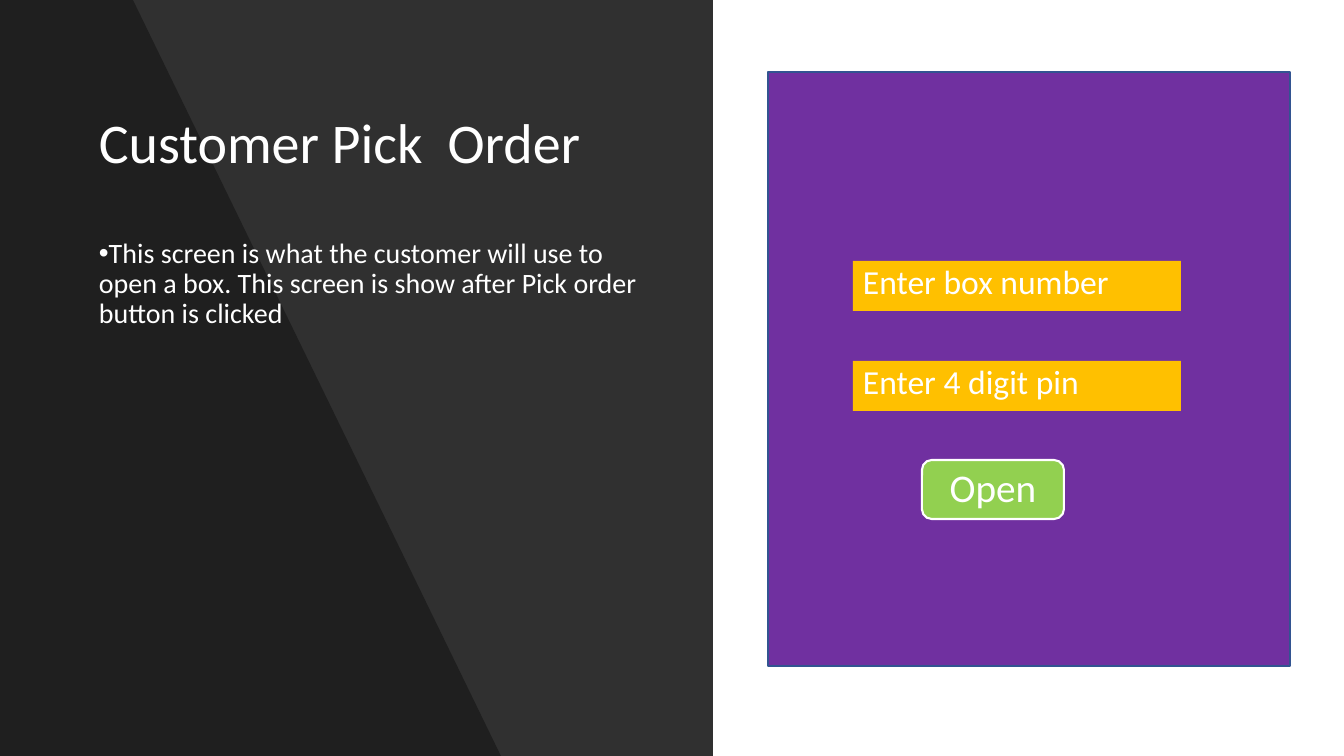
import pptx
import pptx.dml.color
import pptx.enum.shapes
import pptx.enum.text
import pptx.oxml
import pptx.oxml.ns
import pptx.util

RGBColor = pptx.dml.color.RGBColor
Shape = pptx.enum.shapes.MSO_SHAPE
Anchor = pptx.enum.text.MSO_ANCHOR
Align = pptx.enum.text.PP_ALIGN

EMU_PER_PX = 914400 / 100.8
SLIDE_WIDTH, SLIDE_HEIGHT = 1344, 756

BLACK = RGBColor(0x00, 0x00, 0x00)
WHITE = RGBColor(0xFF, 0xFF, 0xFF)
PURPLE = RGBColor(0x70, 0x30, 0xA0)
BLUE = RGBColor(0x32, 0x54, 0x91)
AMBER = RGBColor(0xFF, 0xC0, 0x00)
GREEN = RGBColor(0x92, 0xD0, 0x50)


def emu(px):
    return pptx.util.Emu(round(px * EMU_PER_PX))


def add_element(parent, tag, **attributes):
    element = pptx.oxml.parse_xml(f"<a:{tag} {pptx.oxml.ns.nsdecls('a')}/>")
    for name, value in attributes.items():
        element.set(name, str(value))
    parent.append(element)


def paint(shape, fill, opacity=100, line=None, line_width=1):
    shape.shadow.inherit = False
    shape.fill.solid()
    shape.fill.fore_color.rgb = fill
    if opacity < 100:
        color = shape.fill._xPr.find(".//" + pptx.oxml.ns.qn("a:srgbClr"))
        add_element(color, "alpha", val=opacity * 1000)
    if line is None:
        shape.line.fill.background()
    else:
        shape.line.color.rgb = line
        shape.line.width = pptx.util.Pt(line_width)


def add_box(slide, box, fill, kind=Shape.RECTANGLE, **style):
    shape = slide.shapes.add_shape(kind, *map(emu, box))
    paint(shape, fill, **style)
    return shape


def add_outline(slide, points, fill, **style):
    builder = slide.shapes.build_freeform(*points[0], scale=EMU_PER_PX)
    builder.add_line_segments(points[1:], close=True)
    paint(builder.convert_to_shape(), fill, **style)


def write_text(shape, text, size, anchor=Anchor.TOP, align=Align.LEFT, bullet=None):
    frame = shape.text_frame
    frame.word_wrap = True
    frame.vertical_anchor = anchor
    paragraph = frame.paragraphs[0]
    paragraph.text = text
    paragraph.alignment = align
    paragraph.line_spacing = 0.9
    paragraph.space_after = pptx.util.Pt(6)
    if bullet:
        properties = paragraph._p.get_or_add_pPr()
        properties.set("marL", "0")
        properties.set("indent", str(-pptx.util.Inches(0.25)))
        add_element(properties, "buFont", typeface="Arial")
        add_element(properties, "buChar", char=bullet)
    font = paragraph.runs[0].font
    font.name = "Calibri"
    font.size = pptx.util.Pt(size)
    font.color.rgb = WHITE


def add_text(slide, box, text, **text_format):
    write_text(slide.shapes.add_textbox(*map(emu, box)), text, **text_format)


def main():
    presentation = pptx.Presentation()
    presentation.slide_width = emu(SLIDE_WIDTH)
    presentation.slide_height = emu(SLIDE_HEIGHT)
    slide = presentation.slides.add_slide(presentation.slide_layouts[6])

    # Backdrop: white page, dark left panel and its slanted shade
    slide.background.fill.solid()
    slide.background.fill.fore_color.rgb = BLACK
    add_box(slide, (0, 0, SLIDE_WIDTH, SLIDE_HEIGHT), WHITE)
    add_box(slide, (0, 0, 713, SLIDE_HEIGHT), BLACK, opacity=81)
    slant = [(0, 0), (133, 0), (501, SLIDE_HEIGHT), (0, SLIDE_HEIGHT)]
    add_outline(slide, slant, BLACK, opacity=35)

    # Title and description
    add_text(slide, (89, 71, 568, 148), "Customer Pick  Order",
             size=40, anchor=Anchor.MIDDLE)
    add_text(slide, (89, 234, 568, 416),
             "This screen is what the customer will use to open a box. "
             "This screen is show after Pick order button is clicked",
             size=20, bullet="•")

    # Screen mock-up: panel, input fields and button
    add_box(slide, (768, 72, 522, 594), PURPLE, line=BLUE)
    for row, prompt in enumerate(("Enter box number", "Enter 4 digit pin")):
        field = add_box(slide, (853, 261 + 100 * row, 328, 50), AMBER)
        write_text(field, prompt, size=24)
    button = add_box(slide, (922, 460, 142, 59), GREEN, Shape.ROUNDED_RECTANGLE,
                     line=WHITE, line_width=1.5)
    write_text(button, "Open", size=28, anchor=Anchor.MIDDLE, align=Align.CENTER)

    presentation.save("out.pptx")


if __name__ == "__main__":
    main()
